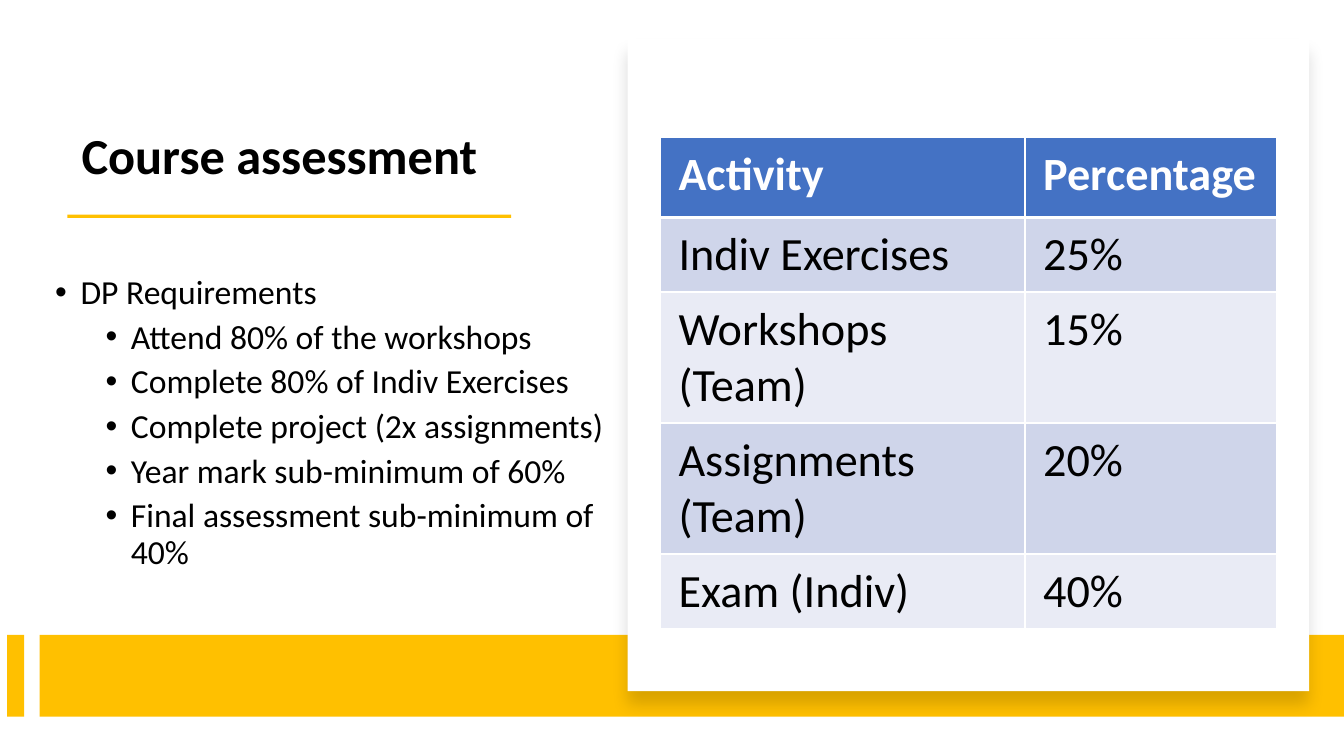
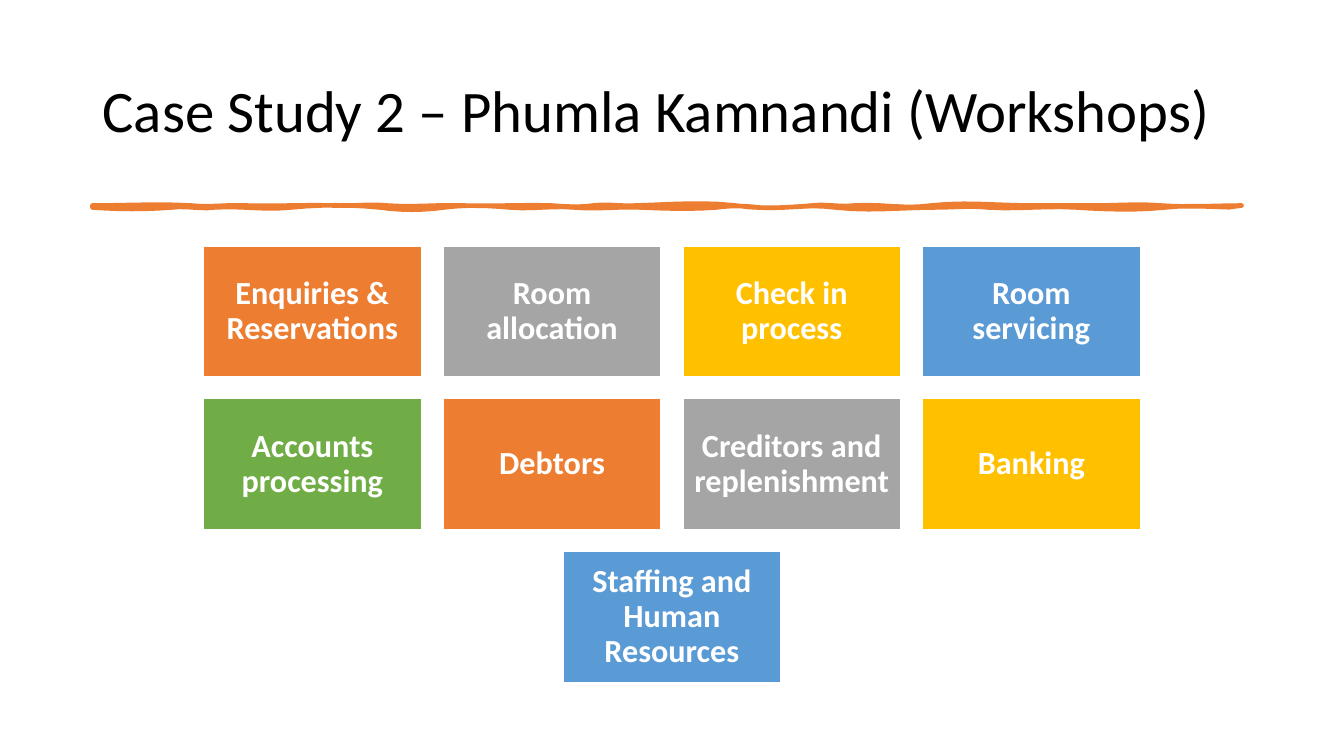
from lxml import etree
from pptx import Presentation
from pptx.dml.color import RGBColor
from pptx.enum import shapes, text
from pptx.oxml import ns
from pptx.util import Cm, Pt

FONT = "Calibri"
BLACK = RGBColor(0x00, 0x00, 0x00)
WHITE = RGBColor(0xFF, 0xFF, 0xFF)
GOLD = RGBColor(0xFF, 0xC0, 0x00)
ORANGE = RGBColor(0xED, 0x7D, 0x31)
GRAY = RGBColor(0xA5, 0xA5, 0xA5)
BLUE = RGBColor(0x5B, 0x9B, 0xD5)
GREEN = RGBColor(0x70, 0xAD, 0x47)
HEADER_BLUE = RGBColor(0x44, 0x72, 0xC4)
BANDS = (RGBColor(0xCF, 0xD5, 0xEA), RGBColor(0xE9, 0xEB, 0xF5))

REQUIREMENTS = [
    ("DP Requirements", 0),
    ("Attend 80% of the workshops", 1),
    ("Complete 80% of Indiv Exercises", 1),
    ("Complete project (2x assignments)", 1),
    ("Year mark sub-minimum of 60%", 1),
    ("Final assessment sub-minimum of 40%", 1),
]
ACTIVITIES = [
    ("Activity", "Percentage"),
    ("Indiv Exercises", "25%"),
    ("Workshops (Team)", "15%"),
    ("Assignments (Team)", "20%"),
    ("Exam (Indiv)", "40%"),
]
TILE_ROWS = [
    ["Enquiries & Reservations", "Room allocation", "Check in process", "Room servicing"],
    ["Accounts processing", "Debtors", "Creditors and replenishment", "Banking"],
    ["Staffing and Human Resources"],
]
TILE_COLOURS = (ORANGE, GRAY, GOLD, BLUE, GREEN)

# Brush edges: end of each curve in cm, then the lift of its two control points
WOBBLE = 0.025
BRUSH_TOP = [
    (2.49, 0, -2), (3.86, 2, -1), (6.07, 1, -1), (7.42, 1, -2), (9.35, 2, -1),
    (11.58, 1, -1), (12.62, 1, 2), (13.69, -2, 1), (16.21, -1, -4), (18.14, 4, 2),
    (19.2, -2, 2), (21.13, -2, 4), (23.65, -4, 0), (25.27, 0, 0), (26.92, 0, -2),
    (28.96, 2, 0),
]
BRUSH_BOTTOM = [
    (27.03, 0, -3), (24.79, 3, 2), (22.58, -2, 2), (21.23, -2, 0), (18.72, 0, 4),
    (16.79, -4, 2), (15.72, -2, -2), (13.79, 2, 1), (12.14, -1, 2), (10.52, -2, 2),
    (8.86, -2, -3), (7.24, 3, 3), (5, -3, -3), (3.07, 3, -2), (2.01, 2, -2), (0, 2, 2),
]


def add_text(p, content, size, color=BLACK, bold=False, align=None, spacing=0.9, after=None):
    """Write one run into a paragraph and format both."""
    p.alignment, p.line_spacing, p.space_after = align, spacing, after
    r = p.add_run()
    r.text = content
    r.font.name, r.font.size, r.font.bold = FONT, Pt(size), bold
    r.font.color.rgb = color


def add_rect(s, x, y, w, h, fill, line=None):
    sp = s.shapes.add_shape(shapes.MSO_SHAPE.RECTANGLE, Cm(x), Cm(y), Cm(w), Cm(h))
    sp.shadow.inherit = False
    sp.fill.solid()
    sp.fill.fore_color.rgb = fill
    if line is None:
        sp.line.fill.background()
    else:
        sp.line.color.rgb = line
        sp.line.width = Pt(1)
    return sp


def add_title_slide(prs, title, box, size, bold=False, anchor=text.MSO_ANCHOR.MIDDLE):
    s = prs.slides.add_slide(prs.slide_layouts[5])
    sp = s.shapes.title
    sp.left, sp.top, sp.width, sp.height = (Cm(v) for v in box)
    tf = sp.text_frame
    tf.word_wrap, tf.auto_size = True, text.MSO_AUTO_SIZE.NONE
    tf.vertical_anchor = anchor
    add_text(tf.paragraphs[0], title, size, bold=bold, align=text.PP_ALIGN.LEFT)
    return s


def add_bullets(s, x, y, w, h, items):
    tf = s.shapes.add_textbox(Cm(x), Cm(y), Cm(w), Cm(h)).text_frame
    tf.word_wrap, tf.vertical_anchor = True, text.MSO_ANCHOR.MIDDLE
    for i, (content, level) in enumerate(items):
        p = tf.add_paragraph() if i else tf.paragraphs[0]
        p.level = level
        add_text(p, content, 24, after=Pt(6))
        pPr = p._p.get_or_add_pPr()
        pPr.set("marL", str(Cm(0.79 + 1.27 * level)))
        pPr.set("indent", str(Cm(-0.64)))
        font = etree.SubElement(pPr, ns.qn("a:buFont"))
        font.set("typeface", "Arial")
        etree.SubElement(pPr, ns.qn("a:buChar")).set("char", "•")


def add_card(s, x, y, w, h):
    """White panel with a soft shadow below it."""
    effects = add_rect(s, x, y, w, h, WHITE)._element.spPr.find(ns.qn("a:effectLst"))
    shadow = etree.SubElement(effects, ns.qn("a:outerShdw"), blurRad=str(Pt(11)),
                              dist=str(Pt(10)), dir="5400000", algn="t", rotWithShape="0")
    color = etree.SubElement(shadow, ns.qn("a:srgbClr"), val=str(BLACK))
    etree.SubElement(color, ns.qn("a:alpha"), val="15000")


def set_borders(cell, bottom):
    tcPr = cell._tc.get_or_add_tcPr()
    for i, (side, width) in enumerate((("L", 1), ("R", 1), ("T", 1), ("B", bottom))):
        ln = etree.Element(ns.qn("a:ln" + side), w=str(Pt(width)))
        fill = etree.SubElement(ln, ns.qn("a:solidFill"))
        etree.SubElement(fill, ns.qn("a:srgbClr"), val=str(WHITE))
        tcPr.insert(i, ln)


def add_activity_table(s, x, y, widths, heights, rows):
    table = s.shapes.add_table(len(rows), len(widths), Cm(x), Cm(y),
                               Cm(sum(widths)), Cm(sum(heights))).table
    for column, width in zip(table.columns, widths):
        column.width = Cm(width)
    for i, (row, height) in enumerate(zip(rows, heights)):
        table.rows[i].height = Cm(height)
        header = i == 0
        for j, content in enumerate(row):
            cell = table.cell(i, j)
            cell.margin_left = cell.margin_right = Cm(0.46)
            cell.margin_top = cell.margin_bottom = Cm(0.23)
            cell.fill.solid()
            cell.fill.fore_color.rgb = HEADER_BLUE if header else BANDS[(i - 1) % 2]
            add_text(cell.text_frame.paragraphs[0], content, 33, bold=header,
                     color=WHITE if header else BLACK, spacing=1.0)
            set_borders(cell, 3 if header else 1)


def brush_edge(start, base, curves, steps=6):
    """Sample the cubic curves of one edge of the brush stroke."""
    points = []
    for end, lift1, lift2 in curves:
        for k in range(1, steps + 1):
            t = k / steps
            lift = 3 * t * (1 - t) * ((1 - t) * lift1 + t * lift2)
            points.append((start + (end - start) * t, base + WOBBLE * lift))
        start = end
    return points


def add_brush_line(s, x, y, thickness=0.05):
    top = brush_edge(0, 0, BRUSH_TOP)
    bottom = brush_edge(BRUSH_TOP[-1][0], thickness, BRUSH_BOTTOM)
    points = [(Cm(x + dx), Cm(y + dy)) for dx, dy in top + bottom]
    builder = s.shapes.build_freeform(Cm(x), Cm(y))
    builder.add_line_segments(points, close=True)
    sp = builder.convert_to_shape()
    sp.shadow.inherit = False
    sp.fill.solid()
    sp.fill.fore_color.rgb = sp.line.color.rgb = ORANGE
    sp.line.width = Pt(3.25)


def add_tiles(s, x, y, w, rows, tile_w=5.49, tile_h=3.3, gap=0.55):
    """Rows of tiles, each row centred in the width; colours run on across rows."""
    count = 0
    for i, row in enumerate(rows):
        row_w = len(row) * (tile_w + gap) - gap
        left = x + (w - row_w) / 2
        for j, content in enumerate(row):
            sp = add_rect(s, left + j * (tile_w + gap), y + i * (tile_h + gap), tile_w, tile_h,
                          TILE_COLOURS[count % len(TILE_COLOURS)], line=WHITE)
            tf = sp.text_frame
            tf.word_wrap, tf.vertical_anchor = True, text.MSO_ANCHOR.MIDDLE
            tf.margin_left = tf.margin_right = tf.margin_top = tf.margin_bottom = Cm(0.24)
            add_text(tf.paragraphs[0], content, 23, WHITE, bold=True,
                     align=text.PP_ALIGN.CENTER)
            count += 1


def assessment_slide(prs):
    s = add_title_slide(prs, "Course assessment", (1.8, 1.47, 11.89, 3.33), 36, bold=True,
                        anchor=text.MSO_ANCHOR.BOTTOM)
    add_rect(s, 1.7, 5.41, 11.18, 0.08, GOLD)
    add_bullets(s, 0.99, 6.25, 14.83, 8.84, REQUIREMENTS)
    # Bottom band
    for x, w in ((0.18, 0.43), (1, 32.87)):
        add_rect(s, x, 16, w, 2.06, GOLD)
    # Card with the marks
    add_card(s, 15.82, 0.99, 17.17, 16.43)
    add_activity_table(s, 16.64, 3.45, (9.19, 6.35), (2.03, 1.88, 3.3, 3.3, 1.88), ACTIVITIES)


def case_study_slide(prs):
    s = add_title_slide(prs, "Case Study 2 – Phumla Kamnandi (Workshops)",
                        (2.33, 1.01, 29.21, 3.68), 42)
    add_brush_line(s, 2.33, 5.18)
    add_tiles(s, 2.33, 6.2, 29.21, TILE_ROWS)


def main():
    prs = Presentation()
    prs.slide_width, prs.slide_height = Cm(33.87), Cm(19.05)
    assessment_slide(prs)
    case_study_slide(prs)
    prs.save("out.pptx")


if __name__ == "__main__":
    main()
